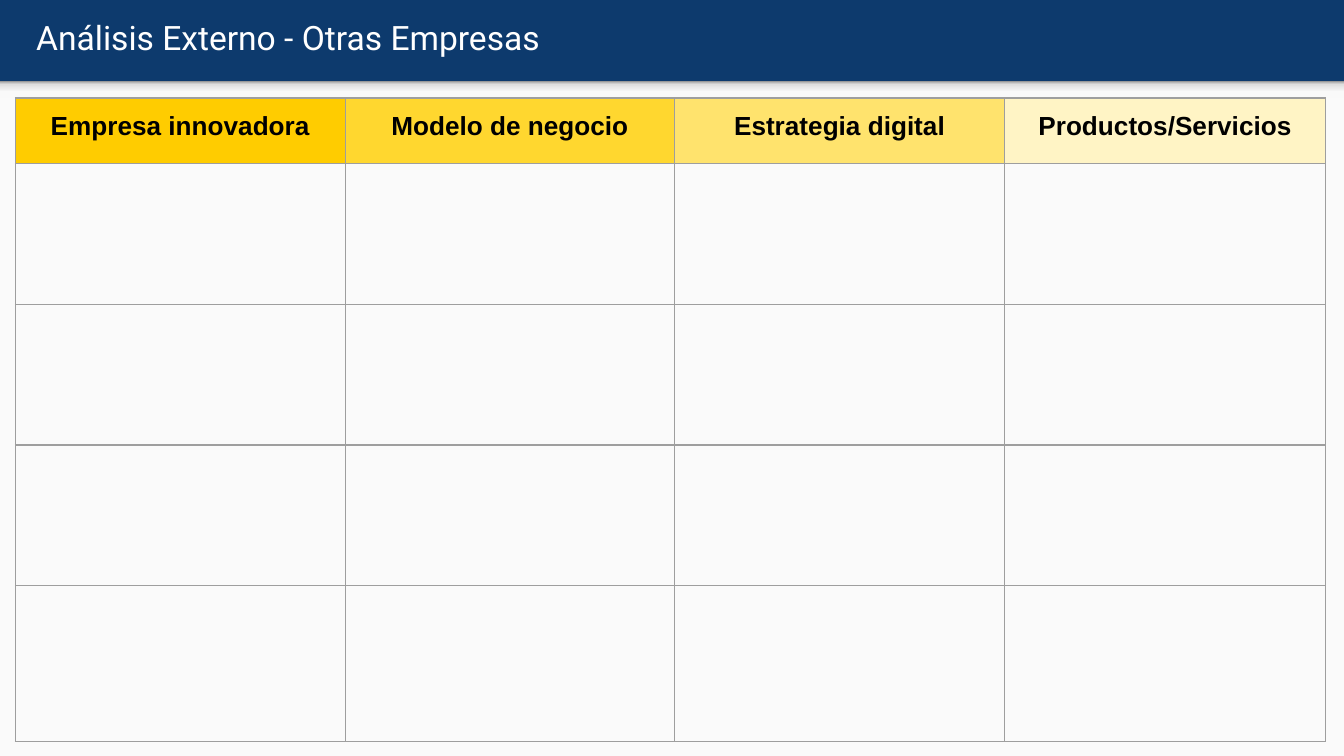
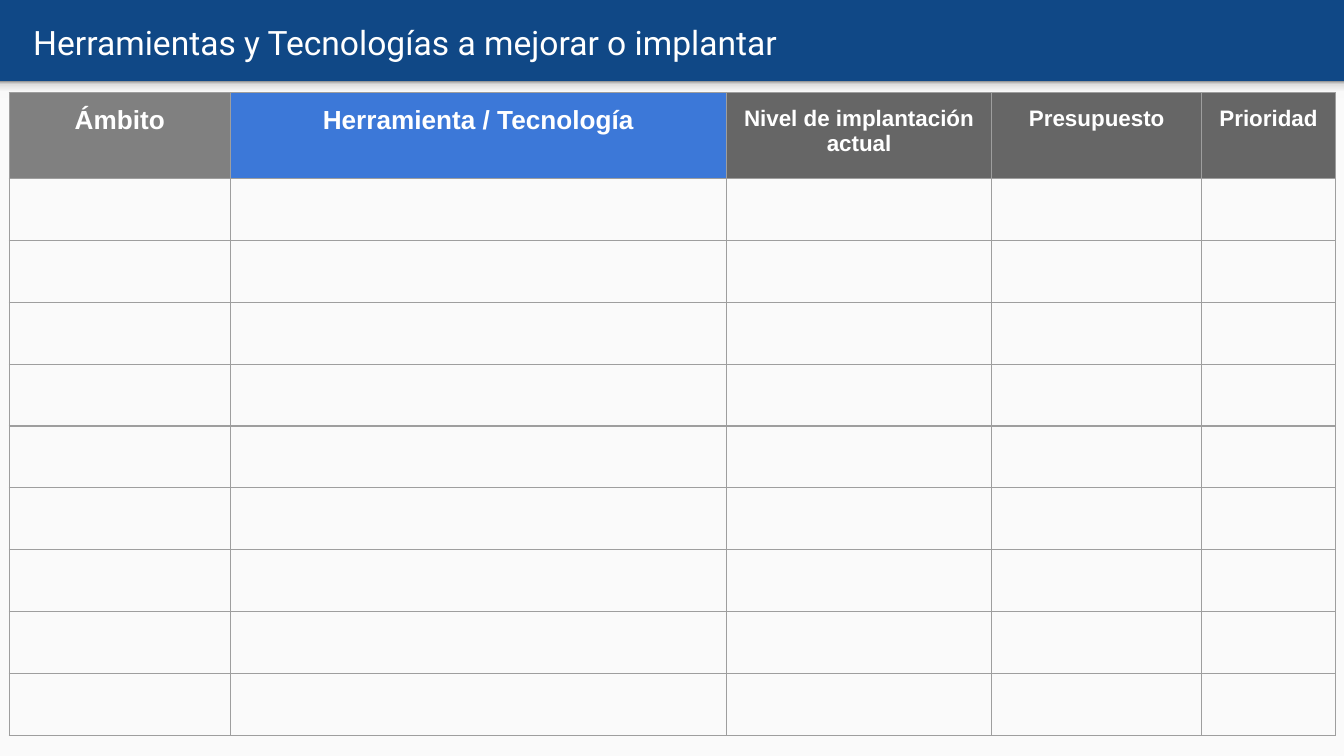
from lxml.etree import SubElement
from pptx import Presentation
from pptx.dml.color import RGBColor
from pptx.enum.shapes import MSO_SHAPE
from pptx.enum.text import MSO_ANCHOR, MSO_AUTO_SIZE, PP_ALIGN
from pptx.oxml import parse_xml
from pptx.oxml.ns import nsdecls, qn
from pptx.util import Pt

# Shared style
WIDTH, HEIGHT = 720, 405
PANEL_TOP = 49.7
PANEL, WHITE, BLACK, BORDER = "FAFAFA", "FFFFFF", "000000", "9E9E9E"
INSET = Pt(7.2)
BAND_STOPS = [(0, "F9F9F9"), (36, "F9F9F9"), (80, "DEDEDE"), (100, "999999")]

# Table headings: text, fill, size, column width
SLIDES = [
    {
        "title": "Análisis Externo - Otras Empresas",
        "title_box": (12.2, 0, 310, 39.6),
        "background": "0D3A6D",
        "table_at": (8.3, 52.5),
        "heading_color": BLACK,
        "headings": [
            ("Empresa innovadora", "FFCC00", 14, 176.6),
            ("Modelo de negocio", "FFD72F", 14, 176.6),
            ("Estrategia digital", "FFE36D", 14, 176.6),
            ("Productos/Servicios", "FFF4C5", 14, 172.2),
        ],
        "rows": [35.2] + [75.4] * 3 + [83.5],
    },
    {
        "title": "Herramientas y Tecnologías a mejorar o implantar",
        "title_box": (10.6, 3, 422.6, 39.6),
        "background": "104886",
        "table_at": (5, 49.7),
        "heading_color": WHITE,
        "headings": [
            ("Ámbito", "808080", 14, 118.4),
            ("Herramienta / Tecnología", "3C78D8", 14, 265.8),
            ("Nivel de implantación actual", "666666", 12, 142.2),
            ("Presupuesto", "666666", 12, 112.5),
            ("Prioridad", "666666", 12, 71.6),
        ],
        "rows": [46] + [33.15] * 9,
    },
]


def paint(color_holder, hex_color):
    """Color a fill or a font."""
    if hasattr(color_holder, "solid"):
        color_holder.solid()
        color_holder.fore_color.rgb = RGBColor.from_string(hex_color)
    else:
        color_holder.color.rgb = RGBColor.from_string(hex_color)


def add_run(paragraph, text, font_name, size, color, bold=False):
    run = paragraph.add_run()
    run.text = text
    run.font.name = font_name
    run.font.size = Pt(size)
    run.font.bold = bold
    paint(run.font, color)


presentation = Presentation()
presentation.slide_width = Pt(WIDTH)
presentation.slide_height = Pt(HEIGHT)

for content in SLIDES:
    slide = presentation.slides.add_slide(presentation.slide_layouts[5])
    paint(slide.background.fill, content["background"])

    # Light panel and the shadow band under the title
    panel = slide.shapes.add_shape(
        MSO_SHAPE.RECTANGLE, 0, Pt(PANEL_TOP), Pt(WIDTH), Pt(HEIGHT - PANEL_TOP))
    band = slide.shapes.add_shape(
        MSO_SHAPE.RECTANGLE, 0, Pt(43.4), Pt(WIDTH), Pt(9.2))
    for shape in (panel, band):
        shape.shadow.inherit = False
        shape.line.fill.background()
    paint(panel.fill, PANEL)
    band.fill.gradient()
    band.fill.gradient_angle = 90
    stop_list = band.fill._fill._gradFill.find(qn("a:gsLst"))
    for old_stop in list(stop_list):
        stop_list.remove(old_stop)
    for percent, color in BAND_STOPS:
        stop = SubElement(stop_list, qn("a:gs"), pos=str(percent * 1000))
        SubElement(stop, qn("a:srgbClr"), val=color)

    # Title
    title = slide.shapes.title
    title.left, title.top, title.width, title.height = map(Pt, content["title_box"])
    frame = title.text_frame
    frame.auto_size = MSO_AUTO_SIZE.NONE
    frame.word_wrap = True
    frame.vertical_anchor = MSO_ANCHOR.MIDDLE
    frame.margin_left = frame.margin_right = INSET
    frame.margin_top = frame.margin_bottom = INSET
    frame.paragraphs[0].alignment = PP_ALIGN.LEFT
    add_run(frame.paragraphs[0], content["title"], "Roboto", 18, WHITE)

    # Table size
    headings, heights = content["headings"], content["rows"]
    left, top = content["table_at"]
    total_width = sum(heading[3] for heading in headings)
    table = slide.shapes.add_table(
        len(heights), len(headings),
        Pt(left), Pt(top), Pt(total_width), Pt(sum(heights))).table
    table.first_row = False
    table.horz_banding = False
    for row, height in zip(table.rows, heights):
        row.height = Pt(height)
    for column, heading in zip(table.columns, headings):
        column.width = Pt(heading[3])

    # Cell borders and empty fills
    for cell in table.iter_cells():
        properties = cell._tc.get_or_add_tcPr()
        for side in ("lnL", "lnR", "lnT", "lnB"):
            properties.append(parse_xml(
                f'<a:{side} {nsdecls("a")} w="{Pt(0.75)}"><a:solidFill>'
                f'<a:srgbClr val="{BORDER}"/></a:solidFill></a:{side}>'))
        cell.fill.background()

    # Headings
    for index, (text, fill, size, _) in enumerate(headings):
        cell = table.cell(0, index)
        paint(cell.fill, fill)
        cell.margin_left = cell.margin_right = INSET
        cell.margin_top = cell.margin_bottom = INSET
        paragraph = cell.text_frame.paragraphs[0]
        paragraph.alignment = PP_ALIGN.CENTER
        add_run(paragraph, text, "Arial", size, content["heading_color"], bold=True)

presentation.save("out.pptx")
